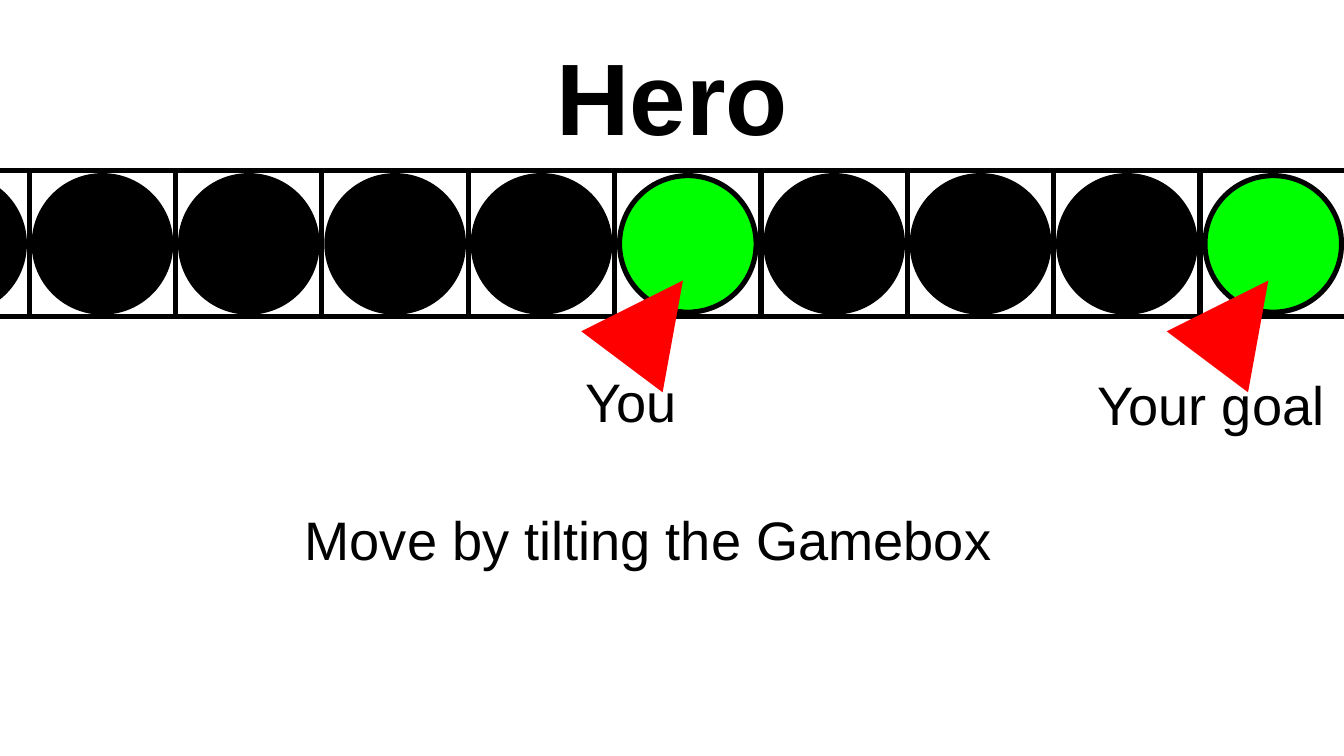
"""Builds the Hero slide: a strip of lights with the player and the goal marked."""
from dataclasses import dataclass

from lxml import etree
from pptx import Presentation
from pptx import util as u
from pptx.dml.color import RGBColor
from pptx.enum import shapes, text
from pptx.oxml.ns import qn

PX = 9144
BLACK, WHITE, GREEN, RED = "000000", "FFFFFF", "00FF00", "FF0000"
CELL, STRIP_LEFT, STRIP_TOP, GAP = 120, -96, 140, 4
CELL_COUNT = 10
LIT_CELLS = (5, 9)


@dataclass(frozen=True)
class Caption:
    """Words and their box in px."""
    words: str
    left: int
    top: int
    width: int
    height: int


CAPTIONS = (
    Caption("You", 470, 297, 250, 60),
    Caption("Your goal", 890, 300, 370, 196),
    Caption("Move by tilting the Gamebox", 240, 410, 590, 110),
)


def px(length: int) -> u.Emu:
    """Turn px into EMU."""
    return u.Emu(length * PX)


def colour(value: str) -> RGBColor:
    """Turn a hex string into a colour."""
    return RGBColor.from_string(value)


def write(frame, words: str, size: int, bold: bool = False) -> None:
    """Put one black Arial line into a text frame."""
    frame.text = words
    frame.word_wrap = True
    frame.auto_size = text.MSO_AUTO_SIZE.SHAPE_TO_FIT_TEXT
    font = frame.paragraphs[0].runs[0].font
    font.name, font.size, font.bold = "Arial", u.Pt(size), bold
    font.color.rgb = colour(BLACK)


def draw_outlined(slide, kind, left: int, top: int, side: int, fill: str) -> None:
    """Draw a square-sized shape with a black outline."""
    figure = slide.shapes.add_shape(kind, px(left), px(top), px(side), px(side))
    figure.shadow.inherit = False
    figure.fill.solid()
    figure.fill.fore_color.rgb = colour(fill)
    figure.line.color.rgb = colour(BLACK)
    figure.line.width = u.Pt(3)


def draw_cell(slide, index: int) -> None:
    """Draw one cell of the strip with its light."""
    left = STRIP_LEFT + index * CELL
    light = GREEN if index in LIT_CELLS else BLACK
    draw_outlined(slide, shapes.MSO_SHAPE.RECTANGLE, left, STRIP_TOP, CELL, WHITE)
    draw_outlined(slide, shapes.MSO_SHAPE.OVAL, left + GAP, STRIP_TOP + GAP,
                  CELL - 2 * GAP, light)


def draw_pointer(slide, index: int) -> None:
    """Draw the red arrow that points into a lit cell."""
    left = STRIP_LEFT + index * CELL
    pointer = slide.shapes.add_connector(
        shapes.MSO_CONNECTOR.STRAIGHT, px(left + 11), px(290), px(left + 56), px(230))
    pointer.line.color.rgb = colour(RED)
    pointer.line.width = u.Pt(20)
    etree.SubElement(pointer.line._get_or_add_ln(), qn("a:tailEnd"), type="triangle")
    etree.SubElement(pointer._element.spPr, qn("a:effectLst"))


def draw_caption(slide, caption: Caption) -> None:
    """Draw one caption."""
    box = slide.shapes.add_textbox(px(caption.left), px(caption.top),
                                   px(caption.width), px(caption.height))
    write(box.text_frame, caption.words, 32)


def draw_title(slide, words: str) -> None:
    """Move and format the title placeholder."""
    title = slide.shapes.title
    title.left, title.top, title.width, title.height = map(px, (55, 25, 992, 105))
    frame = title.text_frame
    write(frame, words, 60, bold=True)
    frame.vertical_anchor = text.MSO_ANCHOR.MIDDLE
    frame.margin_left = frame.margin_right = frame.margin_top = frame.margin_bottom = 0
    frame.paragraphs[0].alignment = text.PP_ALIGN.CENTER


def main() -> None:
    """Build and save the slide."""
    deck = Presentation()
    deck.slide_width, deck.slide_height = px(1102), px(620)
    slide = deck.slides.add_slide(deck.slide_layouts[5])
    draw_title(slide, "Hero")
    for index in range(CELL_COUNT):
        draw_cell(slide, index)
    for index in LIT_CELLS:
        draw_pointer(slide, index)
    for caption in CAPTIONS:
        draw_caption(slide, caption)
    deck.save("out.pptx")


if __name__ == "__main__":
    main()
